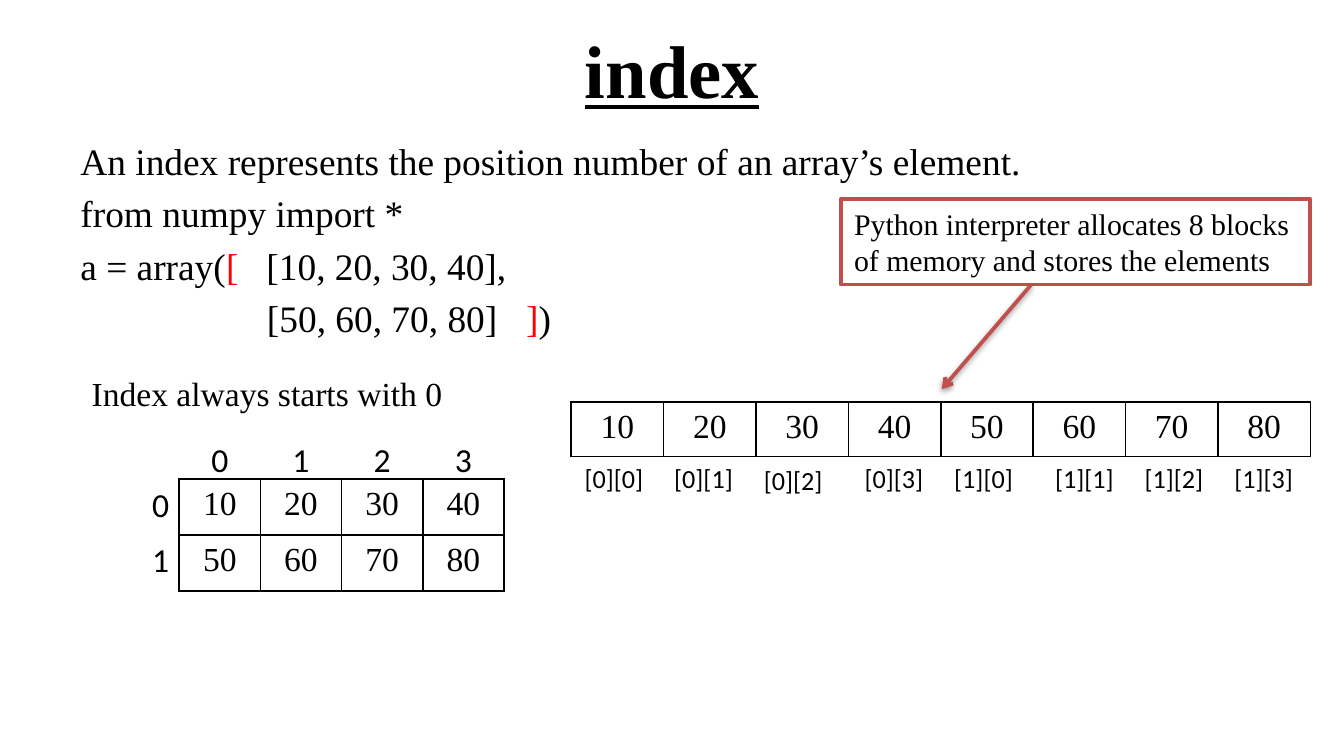
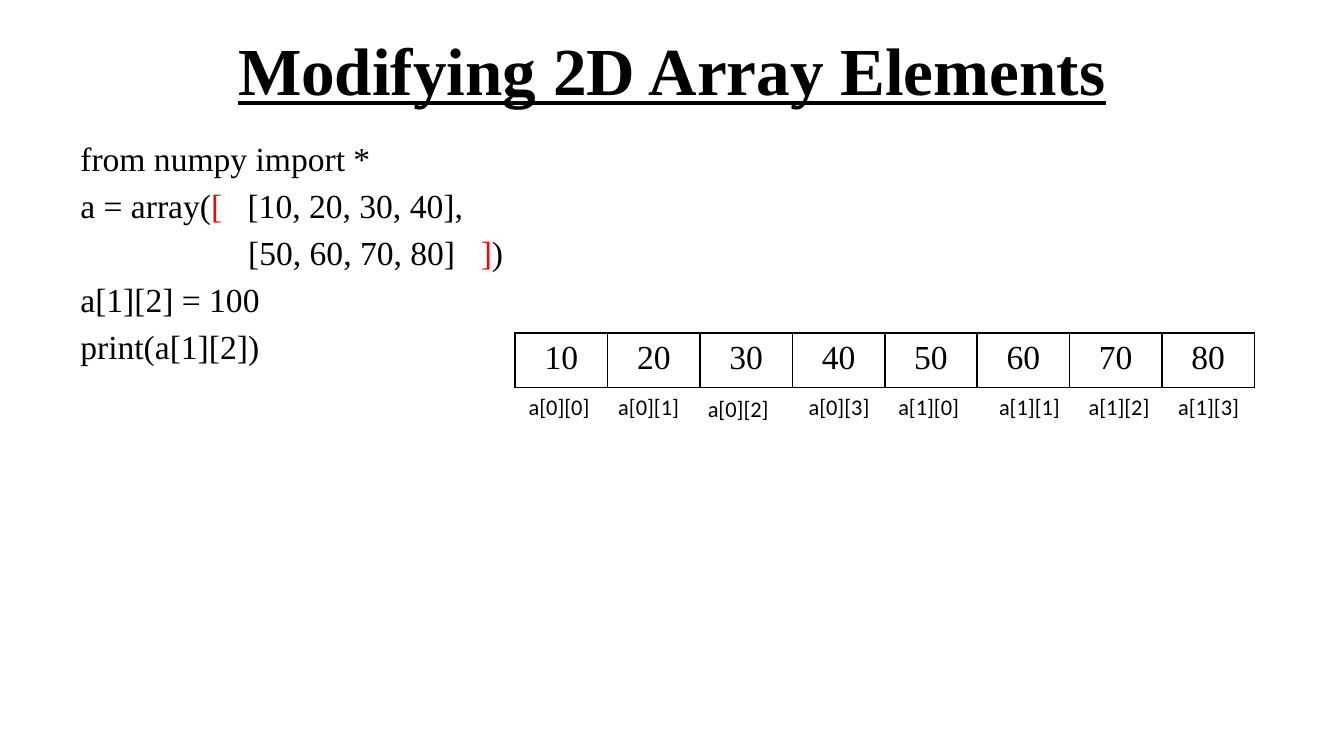
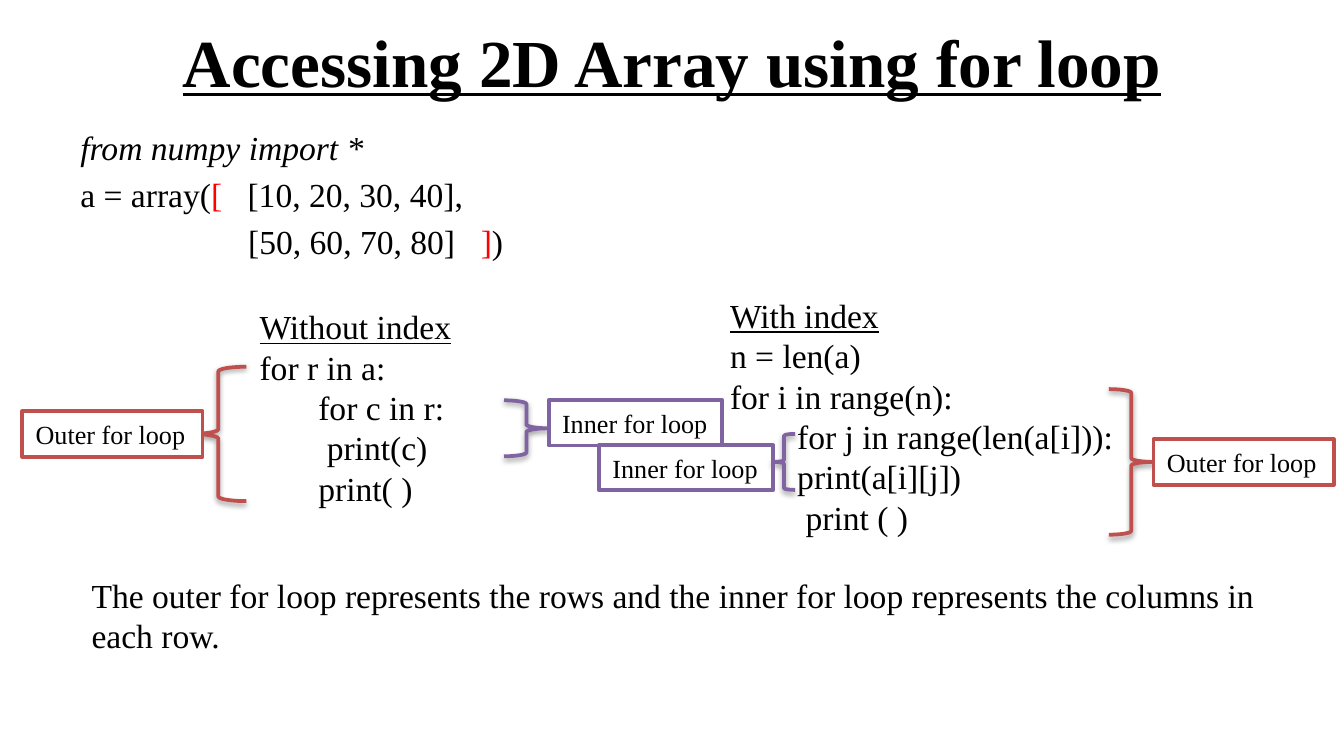
from dataclasses import dataclass

from lxml.etree import SubElement
from pptx import Presentation
from pptx.dml.color import RGBColor
from pptx.enum.shapes import MSO_CONNECTOR, MSO_SHAPE
from pptx.enum.text import MSO_ANCHOR, MSO_AUTO_SIZE, PP_ALIGN
from pptx.oxml.ns import qn
from pptx.util import Pt


@dataclass(frozen=True)
class Theme:
    """Colours, fonts and type sizes shared by the slides."""

    ink: str = "000000"
    paper: str = "FFFFFF"
    bracket: str = "FF0000"
    outer: str = "C0504D"
    inner: str = "8064A2"
    serif: str = "Times New Roman"
    sans: str = "Calibri"
    title: int = 40
    long_title: int = 36
    lead: int = 20
    body: int = 18
    callout: int = 16
    tag: int = 14
    small: int = 12
    stroke: int = 2


@dataclass(frozen=True)
class Box:
    """A region of the slide, in points."""

    left: float
    top: float
    width: float
    height: float

    def inner(self, dx, dy, width, height):
        """Return a box placed relative to this one."""
        return Box(self.left + dx, self.top + dy, width, height)

    def lengths(self):
        """Return left, top, width and height as lengths."""
        return Pt(self.left), Pt(self.top), Pt(self.width), Pt(self.height)


THEME = Theme()
ELEMENTS = list(range(10, 90, 10))
PER_ROW = 4
IMPORT_LINE = "from numpy import *"
ARRAY_LINES = [
    ("a = array(", "[", "   [10, 20, 30, 40],"),
    ("                    [50, 60, 70, 80]   ", "]", ")"),
]
INDEX_OFFSETS = (0, 48, 96, 150, 198, 252, 300, 348)
INDEX_DROPS = (0, 0, 1, 0, 0, 0, 0, 0)


def color(value):
    """Turn a hex string into a colour."""
    return RGBColor.from_string(value)


def style_run(run, size, face=THEME.serif, ink=THEME.ink):
    """Apply face, size and colour to a run."""
    run.font.name = face
    run.font.size = Pt(size)
    run.font.color.rgb = color(ink)


def write_lines(frame, lines, size, gap=0):
    """Fill a frame; every second part of a tuple line is a red bracket."""
    for number, line in enumerate(lines):
        paragraph = frame.add_paragraph() if number else frame.paragraphs[0]
        paragraph.alignment = PP_ALIGN.LEFT
        if number and gap:
            paragraph.space_before = Pt(gap)
        for part, words in enumerate((line,) if isinstance(line, str) else line):
            run = paragraph.add_run()
            run.text = words
            style_run(run, size, ink=THEME.bracket if part % 2 else THEME.ink)


def add_text(slide, box, lines, size, gap=0, wrap=True, grow=True):
    """Place a text box and return its frame."""
    frame = slide.shapes.add_textbox(*box.lengths()).text_frame
    frame.word_wrap = wrap
    frame.auto_size = MSO_AUTO_SIZE.SHAPE_TO_FIT_TEXT if grow else MSO_AUTO_SIZE.NONE
    write_lines(frame, lines, size, gap)
    return frame


def add_title(slide, box, words, size):
    """Place the bold underlined slide title."""
    frame = add_text(slide, box, [words], size, grow=False)
    frame.vertical_anchor = MSO_ANCHOR.MIDDLE
    heading = frame.paragraphs[0]
    heading.alignment = PP_ALIGN.CENTER
    heading.runs[0].font.bold = True
    heading.runs[0].font.underline = True


def add_body(slide, box, lines, size):
    """Place the main text with a fifth of its size between lines."""
    return add_text(slide, box, lines, size, gap=size / 5, grow=False)


def cast_shadow(shape):
    """Give a line or brace its soft drop shadow."""
    effects = SubElement(shape._element.spPr, qn("a:effectLst"))
    shadow = SubElement(effects, qn("a:outerShdw"), blurRad=str(Pt(3.1)),
                        dist=str(Pt(1.6)), dir="5400000", rotWithShape="0")
    tint = SubElement(shadow, qn("a:srgbClr"), val=THEME.ink)
    SubElement(tint, qn("a:alpha"), val="38000")


def add_outline(slide, box, preset, stroke, fill=None):
    """Place a preset shape with a coloured outline."""
    shape = slide.shapes.add_shape(preset, *box.lengths())
    if fill:
        shape.fill.solid()
        shape.fill.fore_color.rgb = color(fill)
    else:
        shape.fill.background()
    shape.line.color.rgb = color(stroke)
    shape.line.width = Pt(THEME.stroke)
    return shape


def add_note(slide, box, words, size, stroke, wrap=False, fill=THEME.paper):
    """Place an outlined note."""
    note = add_outline(slide, box, MSO_SHAPE.RECTANGLE, stroke, fill)
    note.shadow.inherit = False
    note.text_frame.word_wrap = wrap
    note.text_frame.auto_size = MSO_AUTO_SIZE.SHAPE_TO_FIT_TEXT
    note.text_frame.vertical_anchor = MSO_ANCHOR.MIDDLE
    write_lines(note.text_frame, [words], size)


def style_cell(cell, value, size, face, align, ruled):
    """Write one cell and set its borders and fill."""
    cell.text = str(value)
    cell.text_frame.paragraphs[0].alignment = align
    style_run(cell.text_frame.paragraphs[0].runs[0], size, face)
    properties = cell._tc.get_or_add_tcPr()
    for side in ("a:lnL", "a:lnR", "a:lnT", "a:lnB"):
        border = SubElement(properties, qn(side), w=str(Pt(1)))
        if ruled:
            paint = SubElement(border, qn("a:solidFill"))
            SubElement(paint, qn("a:srgbClr"), val=THEME.ink)
        else:
            SubElement(border, qn("a:noFill"))
    cell.fill.background()


def add_grid(slide, box, rows, size=THEME.body, face=THEME.sans,
             align=PP_ALIGN.CENTER, ruled=False):
    """Place a table of equal cells."""
    grid = slide.shapes.add_table(len(rows), len(rows[0]), *box.lengths()).table
    grid.first_row = grid.horz_banding = False
    for column in grid.columns:
        column.width = Pt(box.width / len(rows[0]))
    for row, values in zip(grid.rows, rows):
        row.height = Pt(box.height / len(rows))
        for cell, value in zip(row.cells, values):
            style_cell(cell, value, size, face, align, ruled)


def add_memory_strip(slide, box, array_name, label_size):
    """Place the eight memory blocks with the index under each."""
    add_grid(slide, box, [ELEMENTS], face=THEME.serif, ruled=True)
    for number, (offset, drop) in enumerate(zip(INDEX_OFFSETS, INDEX_DROPS)):
        row, column = divmod(number, PER_ROW)
        add_grid(slide, box.inner(offset, box.height + drop, 48, box.height),
                 [[f"{array_name}[{row}][{column}]"]], label_size, align=PP_ALIGN.LEFT)


def add_matrix(slide, box):
    """Place the two-row matrix with its row and column numbers."""
    rows = [ELEMENTS[:PER_ROW], ELEMENTS[PER_ROW:]]
    add_grid(slide, box, rows, face=THEME.serif, ruled=True)
    add_grid(slide, box.inner(-36, 0, 52, 58.6), [[0], [1]])
    add_grid(slide, box.inner(0, -24, box.width, 29.3), [list(range(PER_ROW))])


def add_memory_callout(slide, box):
    """Place the memory note and its arrow down to the blocks."""
    add_note(slide, box, "Python interpreter allocates 8 blocks of memory and stores the elements",
             THEME.callout, THEME.outer, wrap=True)
    start = box.inner(102, box.height, -48, 56)
    arrow = slide.shapes.add_connector(
        MSO_CONNECTOR.STRAIGHT, Pt(start.left), Pt(start.top),
        Pt(start.left + start.width), Pt(start.top + start.height))
    arrow.line.color.rgb = color(THEME.outer)
    arrow.line.width = Pt(THEME.stroke)
    SubElement(arrow._element.spPr.find(qn("a:ln")), qn("a:tailEnd"), type="arrow")
    cast_shadow(arrow)


def add_loop_mark(slide, box, level, opens_left, overlap=0, drop=0, fill=THEME.paper):
    """Place a brace with the loop's name beside its tip."""
    stroke, width = {"Outer": (THEME.outer, 96.5), "Inner": (THEME.inner, 93)}[level]
    preset = MSO_SHAPE.LEFT_BRACE if opens_left else MSO_SHAPE.RIGHT_BRACE
    cast_shadow(add_outline(slide, box, preset, stroke))
    dx = overlap - width if opens_left else box.width - overlap
    height = 24.4
    add_note(slide, box.inner(dx, (box.height - height) / 2 + drop, width, height),
             f"{level} for loop", THEME.tag, stroke, fill=fill)


def add_loop_code(slide, box, lines):
    """Place a loop listing under its underlined heading."""
    frame = add_text(slide, box, lines, THEME.body)
    frame.paragraphs[0].runs[0].font.underline = True


def build_index_slide(slide, page):
    """Build the slide on index numbers."""
    add_title(slide, page.inner(36, 3, 648, 67.5), "index", THEME.title)
    add_body(slide, page.inner(36, 70.5, 648, 125),
             ["An index represents the position number of an array’s element.",
              IMPORT_LINE, *ARRAY_LINES], THEME.lead)
    add_text(slide, page.inner(42, 196.5, 204, 29), ["Index always starts with 0"],
             THEME.body, wrap=False)
    add_memory_callout(slide, page.inner(450.5, 106.5, 251.5, 46))
    add_memory_strip(slide, page.inner(306, 215.4, 396, 29.2), "", THEME.tag)
    add_matrix(slide, page.inner(96, 256.5, 174, 60))


def build_modifying_slide(slide, page):
    """Build the slide on changing an element."""
    add_title(slide, page.inner(36, 3, 648, 67.5), "Modifying 2D Array Elements", THEME.long_title)
    add_body(slide, page.inner(36, 70.5, 474, 306),
             [IMPORT_LINE, *ARRAY_LINES, "a[1][2] = 100", "print(a[1][2])"], THEME.body)
    add_memory_strip(slide, page.inner(276, 178.4, 396, 29.2), "a", THEME.small)


def build_loop_slide(slide, page):
    """Build the slide on looping with and without index."""
    add_title(slide, page.inner(36, -1.5, 648, 67.5), "Accessing 2D Array using for loop",
              THEME.long_title)
    code = add_body(slide, page.inner(36, 64.5, 534, 90), [IMPORT_LINE, *ARRAY_LINES], THEME.body)
    code.paragraphs[0].runs[0].font.italic = True
    add_loop_code(slide, page.inner(384, 154.5, 264, 138),
                  ["With index", "n = len(a)", "for i in range(n):",
                   "        for j in range(len(a[i])):", "\tprint(a[i][j])",
                   "         print ( )"])
    add_loop_code(slide, page.inner(132, 160.5, 186, 117),
                  ["Without index", "for r in a:", "       for c in r:",
                   "\tprint(c)", "       print( )"])
    add_loop_mark(slide, page.inner(102, 196.5, 30, 72), "Outer", True, overlap=6.5)
    add_loop_mark(slide, page.inner(594, 208.5, 24, 78), "Outer", False)
    add_loop_mark(slide, page.inner(270, 214.5, 24, 30), "Inner", False, drop=-3)
    add_loop_mark(slide, page.inner(414, 232.5, 12, 30), "Inner", True, drop=3, fill=None)
    add_text(slide, page.inner(42, 304.5, 654, 51),
             ["The outer for loop represents the rows and the inner for loop "
              "represents the columns in each row."], THEME.body)


def main():
    """Build and save the presentation."""
    deck = Presentation()
    page = Box(0, 0, 720, 405)
    deck.slide_width, deck.slide_height = Pt(page.width), Pt(page.height)
    for build in (build_index_slide, build_modifying_slide, build_loop_slide):
        build(deck.slides.add_slide(deck.slide_layouts[6]), page)
    deck.save("out.pptx")


if __name__ == "__main__":
    main()
